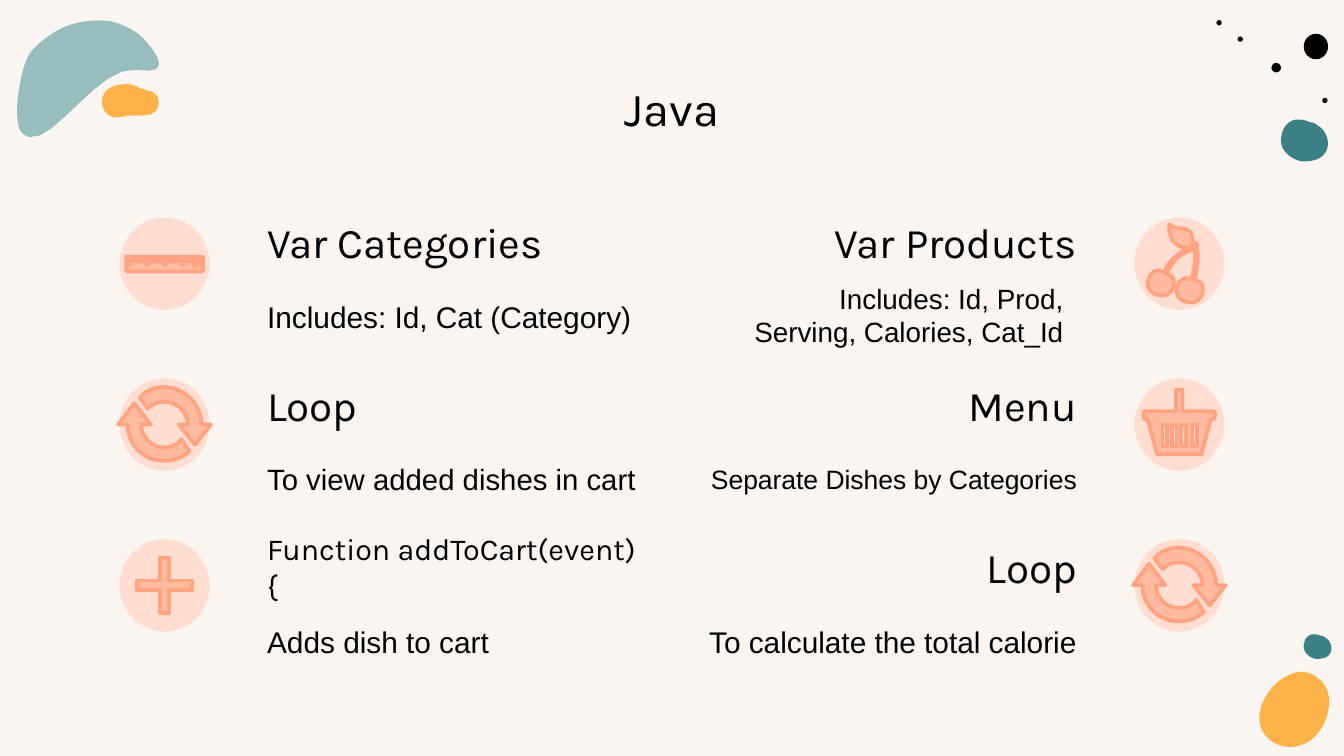
from pptx import Presentation
from pptx.dml.color import RGBColor
from pptx.enum.shapes import MSO_SHAPE
from pptx.enum.text import MSO_ANCHOR, PP_ALIGN
from pptx.util import Cm, Pt

OVAL = MSO_SHAPE.OVAL
TOP, MID = MSO_ANCHOR.TOP, MSO_ANCHOR.MIDDLE
LEFT, MIDST, RIGHT = PP_ALIGN.LEFT, PP_ALIGN.CENTER, PP_ALIGN.RIGHT
HEAD, BODY = "Karla", "Arial"
BLACK, SAGE, TEAL, GOLD = "000000", "97BEBD", "3B8085", "FCB247"
PINK, PEACH, CORAL = "FFDDD1", "FFBAA0", "FFA381"
UNIT = Cm(0.0254)  # grid step of the outlines

deck = Presentation()
deck.slide_width, deck.slide_height = Cm(25.4), Cm(14.29)
slide = deck.slides.add_slide(deck.slide_layouts[6])
shapes = slide.shapes


def paint(fill, color):
    fill.solid()
    fill.fore_color.rgb = RGBColor.from_string(color)


def write(text, x, y, w, h, size=16, font=BODY, align=LEFT, anchor=MID):
    frame = shapes.add_textbox(Cm(x), Cm(y), Cm(w), Cm(h)).text_frame
    frame.word_wrap = True
    frame.vertical_anchor = anchor
    frame.margin_left = frame.margin_right = Cm(0.25)
    frame.margin_top = frame.margin_bottom = Cm(0.25)
    para = frame.paragraphs[0]
    para.alignment = align
    run = para.add_run()
    run.text = text
    run.font.size, run.font.name = Pt(size), font
    paint(run.font.fill, BLACK)


paint(slide.background.fill, "FAF5F1")

# Ovals: corner dots, then a disc behind each icon
ovals = [(24.64, 0.64, 0.46, 0.48, BLACK), (24.03, 1.19, 0.18, 0.18, BLACK),
         (24.99, 1.85, 0.1, 0.1, BLACK), (22.99, 0.38, 0.1, 0.1, BLACK),
         (23.39, 0.69, 0.1, 0.1, BLACK)]
ovals += [(x, 4.11 + 3.04 * row, 1.7, 1.75, PINK)
          for x in (2.26, 21.44) for row in range(3)]
for x, y, w, h, color in ovals:
    dot = shapes.add_shape(OVAL, Cm(x), Cm(y), Cm(w), Cm(h))
    dot.shadow.inherit = False
    paint(dot.fill, color)
    dot.line.fill.background()

# Outlines: a pair is a line end, six numbers are a curve, | starts a new part
leaf = ("22,102 19,101,17,100,15,97 10,87,14,58,20,44 24,34,39,24,48,20 "
        "58,16,71,14,83,16 91,18,100,22,106,28 113,35,132,57,102,52 "
        "74,48,41,106,22,102")
stone = ("967,89 966,89,965,89,964,89 959,90,955,94,954,99 "
         "950,110,959,118,968,120 970,120,971,120,972,120 "
         "981,120,989,115,988,105 987,100,985,96,980,93 "
         "979,92,977,91,975,91 972,90,970,89,967,89")
egg = ("969,500 972,500,975,501,978,503 985,507,989,514,989,522 "
       "989,533,984,544,975,551 971,554,965,556,960,556 "
       "949,556,937,548,937,534 937,523,946,509,956,504 "
       "961,501,965,500,969,500")
cloud = ("91,63 94,62,98,63,101,64 103,65,104,66,106,66 "
         "108,67,111,68,113,68 116,70,118,72,118,76 118,79,117,82,114,84 "
         "112,86,105,86,102,86 100,86,97,86,94,86 92,87,90,87,89,87 "
         "85,88,82,87,79,84 74,78,75,70,81,66 84,64,87,63,91,63")
ruler = ("95,202 94,202,94,201,94,200 94,192 94,191,94,191,95,191 150,191 "
         "151,191,151,191,151,192 151,200 151,201,151,202,150,202"
         "|145,198 146,198,146,198,146,197 146,196,146,196,145,196 "
         "145,196,144,196,144,197 144,198,145,198,145,198")
for tick in range(33):
    x = 96 + 1.66 * tick
    end = 197 if tick % 8 == 0 else 195 if tick % 4 == 0 else 194
    ruler += f"|{x},{end} {x + 0.4},{end} {x + 0.4},192 {x},192"
cycle = ("122,288 115,288,108,291,104,296 110,304 113,301,117,299,122,299 "
         "132,299,139,306,140,316 133,316 145,331 157,316 150,316 "
         "150,301,137,288,122,288"
         "|100,300 88,316 95,316 95,331,107,343,122,343 "
         "130,343,136,340,141,336 135,327 132,331,127,333,122,333 "
         "113,333,105,325,105,316 112,316")
cherry = ("870,167 869,181,879,186,886,184 882,186,878,188,876,190 "
          "872,193,869,196,866,203 865,202,864,202,862,201 "
          "855,201,849,215,860,219 872,224,876,210,872,206 "
          "871,205,869,204,868,204 869,202,872,196,876,192 "
          "880,189,886,185,888,186 889,187,891,196,886,208 "
          "886,208,884,207,882,207 875,208,871,223,884,225 "
          "896,227,897,212,893,210 891,209,890,208,889,209 "
          "890,204,892,194,891,186 890,185,891,183,891,183 "
          "891,182,890,180,889,181 889,182,888,182,887,183 "
          "888,181,888,175,885,172 879,168,876,172,870,167")
basket = ("876,290 875,290,875,290,875,291 875,306 852,306 "
          "851,306,851,307,851,307 851,310 851,311,851,312,852,312 "
          "854,312 861,338 894,338 901,312 903,312 "
          "903,312,904,311,904,310 904,307 904,307,904,306,903,306 "
          "880,306 880,291 880,290,880,290,879,290")
for x in (865, 872, 879, 887):
    basket += f"|{x},316 {x + 3.5},316 {x + 3.5},332 {x},332"
plus = ("119,415 119,432 102,432 102,439 119,439 119,456 126,456 "
        "126,439 143,439 143,432 126,432 126,415")

# Each outline: fill, line, shift and scale
forms = [(leaf, SAGE, None, 0, 0, 1), (stone, TEAL, None, 0, 0, 1),
         (egg, GOLD, None, 0, 0, 1), (stone, TEAL, None, 407.7, 419.5, 0.59),
         (cloud, GOLD, None, 0, 0, 1), (ruler, PEACH, CORAL, 0, 0, 1),
         (cycle, PEACH, CORAL, 0, 0, 1), (cherry, PEACH, CORAL, 0, 0, 1),
         (basket, PEACH, CORAL, 0, 0, 1),
         (cycle, PEACH, CORAL, 755, 119.5, 1), (plus, PEACH, CORAL, 0, 0, 1)]
for outline, color, edge, dx, dy, scale in forms:
    pen = None
    for part in outline.split("|"):
        dots = []
        for word in part.split():
            nums = [float(n) for n in word.split(",")]
            pairs = [((x * scale + dx) * UNIT, (y * scale + dy) * UNIT)
                     for x, y in zip(nums[::2], nums[1::2])]
            if len(pairs) == 1:
                dots += pairs
                continue
            ends = [dots[-1]] + pairs
            for step in range(1, 9):
                t = step / 8
                parts = ((1 - t) ** 3, 3 * t * (1 - t) ** 2,
                         3 * t * t * (1 - t), t ** 3)
                dots.append(tuple(sum(k * p[axis] for k, p in zip(parts, ends))
                                  for axis in (0, 1)))
        if pen is None:
            pen = shapes.build_freeform(*dots[0], scale=1.0)
        else:
            pen.move_to(*dots[0])
        pen.add_line_segments(dots[1:], close=True)
    form = pen.convert_to_shape()
    form.shadow.inherit = False
    paint(form.fill, color)
    if edge:
        paint(form.line.fill, edge)
        form.line.width = Pt(2)
    else:
        form.line.fill.background()

# Title
write("Java", 1.98, 1.24, 21.44, 1.6, size=25.3, font=HEAD, align=MIDST, anchor=TOP)

# Two columns of headings with a line of text below
columns = [
    (4.8, LEFT, [("Var Categories", 22.6, "Includes: Id, Cat (Category)", 16),
                 ("Loop", 22.6, "To view added dishes in cart", 15.7),
                 ("Function addToCart(event){", 16.3, "Adds dish to cart", 16)]),
    (13.08, RIGHT, [("Var Products", 22.6, None, 0),
                    ("Menu", 22.6, "Separate Dishes by Categories", 14.2),
                    ("Loop", 22.6, "To calculate the total calorie", 16)]),
]
for x, side, rows in columns:
    for row, (head, big, body, small) in enumerate(rows):
        y = 3.84 + 3.07 * row
        write(head, x, y, 7.52, 1.47, size=big, font=HEAD, align=side)
        if body:
            write(body, x, y + 1.47, 7.52, 1.35, size=small, align=side)

# The product text takes two lines in a narrower box
write("Includes: Id, Prod, Serving, Calories, Cat_Id", 13.61, 5.08, 6.73, 1.75,
      size=14.9, align=RIGHT)

deck.save("out.pptx")
